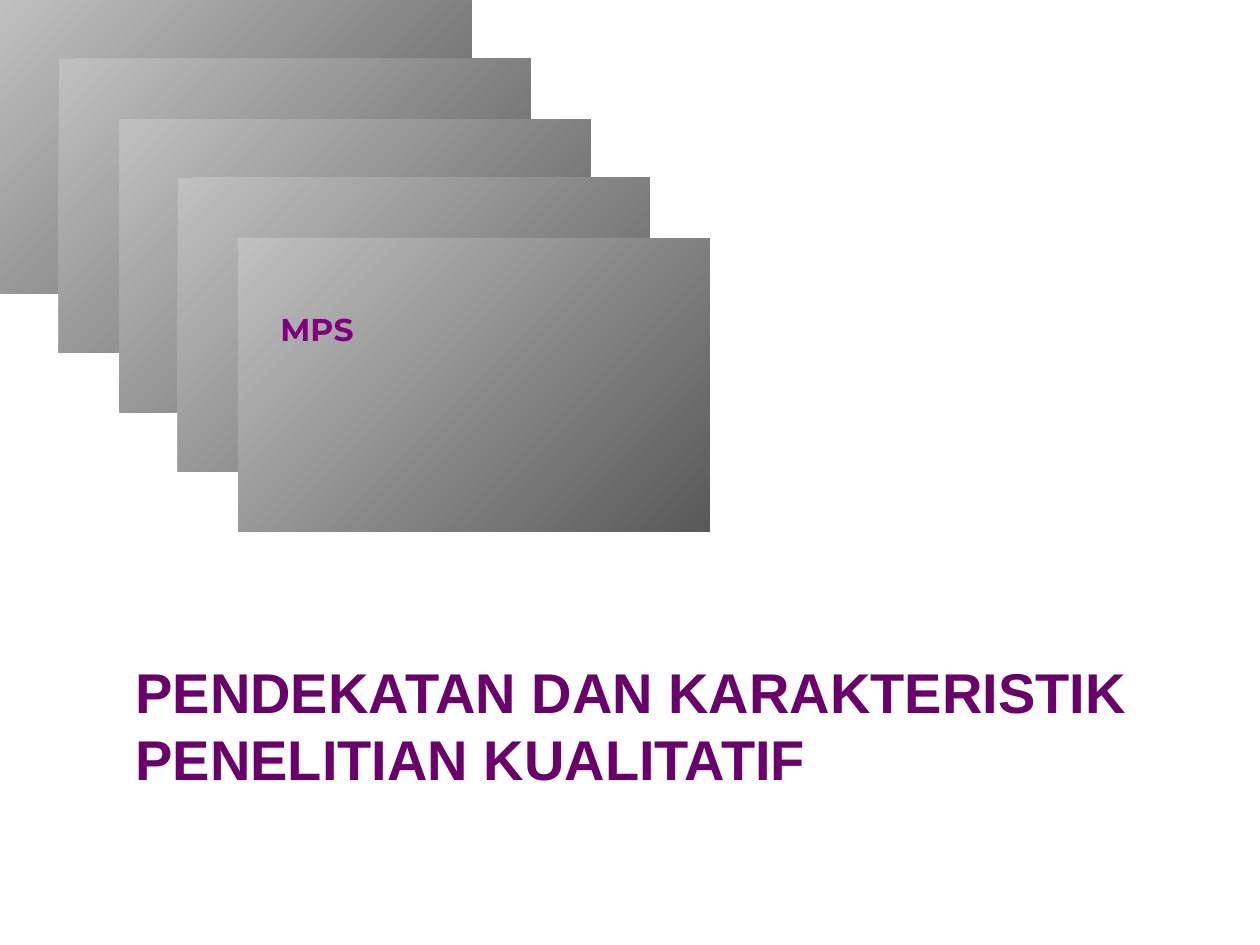
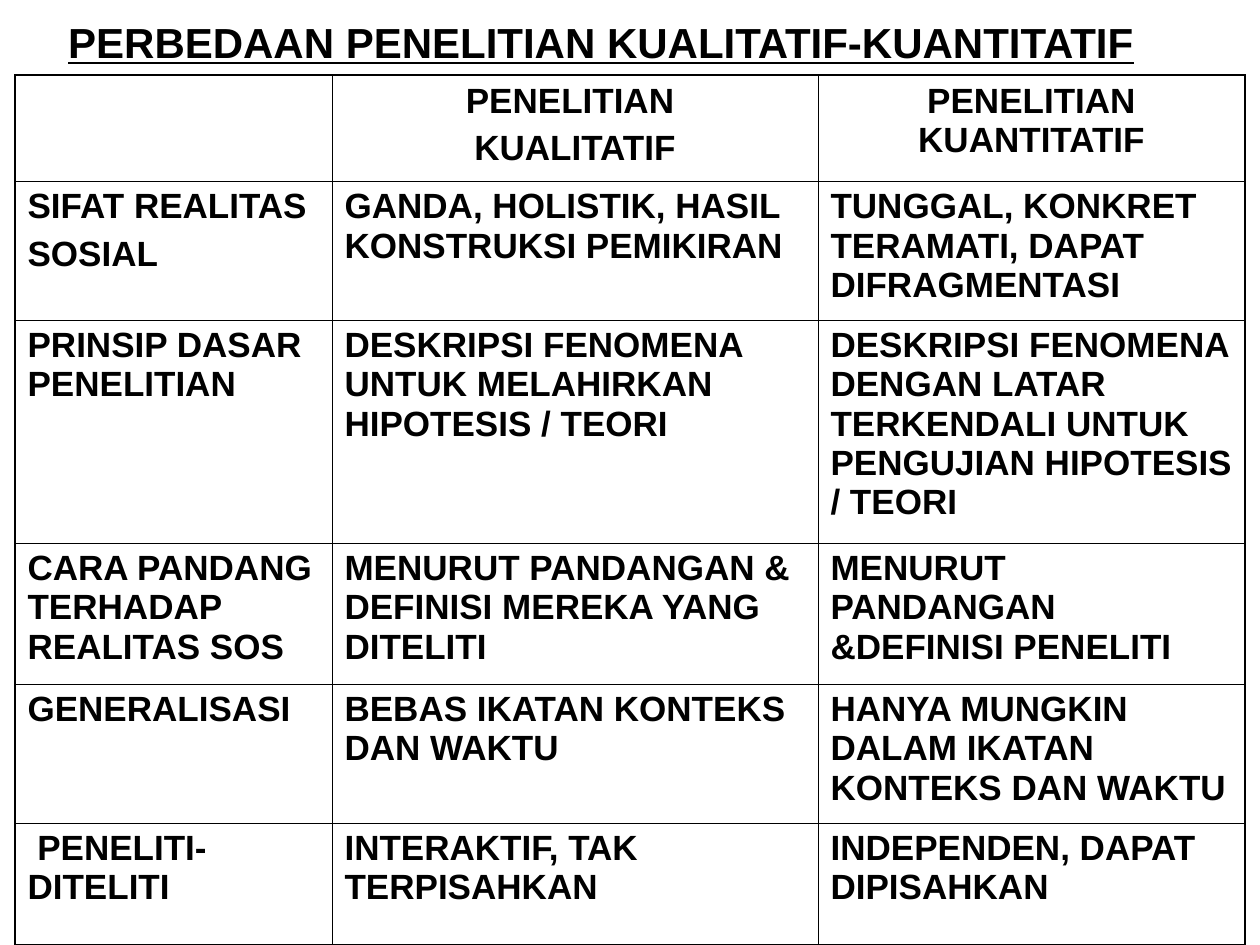
from lxml.etree import SubElement
from pptx import Presentation
from pptx.dml.color import RGBColor
from pptx.enum.shapes import MSO_SHAPE as Shape
from pptx.enum.text import MSO_ANCHOR as Anchor, PP_ALIGN as Align
from pptx.oxml.ns import qn
from pptx.util import Emu, Pt

PX = 914400 / 126
COLORS = {
    "card_light": "C0C0C0",
    "card_dark": "595959",
    "label": "800080",
    "heading": "6A006A",
    "ink": "000000",
}

# Text formats
LABEL = {"name": "Montserrat", "size": Pt(18), "bold": True}
HEADING = {"name": "Arial", "size": Pt(32), "bold": True}
TITLE = {"name": "Arial", "size": Pt(24), "bold": True, "underline": True}
CELL = {"name": "Arial", "size": Pt(20), "bold": True}

# Card cascade
CARD_COUNT = 5
CARD_SPREAD = 238
CARD_SIZE = (472, 294)

# Comparison table
COLUMN_WIDTHS = [317, 486, 427]
ROW_HEIGHTS = [106, 139, 223, 141, 139, 122]
OUTER_LINE, INNER_LINE = Pt(1.08), Pt(0.45)
COMPARISON = [
    ["", "PENELITIAN \nKUALITATIF", "PENELITIAN KUANTITATIF"],
    ["SIFAT REALITAS\nSOSIAL",
     "GANDA, HOLISTIK, HASIL KONSTRUKSI PEMIKIRAN",
     "TUNGGAL, KONKRET TERAMATI, DAPAT DIFRAGMENTASI"],
    ["PRINSIP DASAR PENELITIAN",
     "DESKRIPSI FENOMENA UNTUK MELAHIRKAN HIPOTESIS / TEORI",
     "DESKRIPSI FENOMENA DENGAN LATAR TERKENDALI UNTUK PENGUJIAN "
     "HIPOTESIS / TEORI"],
    ["CARA PANDANG TERHADAP REALITAS SOS",
     "MENURUT PANDANGAN & DEFINISI MEREKA YANG DITELITI",
     "MENURUT PANDANGAN &DEFINISI PENELITI"],
    ["GENERALISASI",
     "BEBAS IKATAN KONTEKS DAN WAKTU",
     "HANYA MUNGKIN DALAM IKATAN KONTEKS DAN WAKTU"],
    [" PENELITI-DITELITI",
     "INTERAKTIF, TAK TERPISAHKAN",
     "INDEPENDEN, DAPAT DIPISAHKAN"],
]


def emu(px):
    return Emu(round(px * PX))


def place(*lengths):
    return [emu(length) for length in lengths]


def rgb(color):
    return RGBColor.from_string(COLORS[color])


def write(frame, text, style, color, align=Align.LEFT, space_before=0):
    """Fill a text frame, one paragraph for each line of the text."""
    for index, line in enumerate(text.split("\n")):
        para = frame.add_paragraph() if index else frame.paragraphs[0]
        para.alignment = align
        para.space_before = Pt(space_before)
        span = para.add_run()
        span.text = line
        for name, value in style.items():
            setattr(span.font, name, value)
        span.font.color.rgb = rgb(color)


def add_text(page, at, text, style, color, wrap=True, anchor=Anchor.TOP, **layout):
    frame = page.shapes.add_textbox(*place(*at)).text_frame
    frame.word_wrap = wrap
    frame.vertical_anchor = anchor
    write(frame, text, style, color, **layout)


def add_card(page, offset):
    card = page.shapes.add_shape(
        Shape.RECTANGLE, *place(offset, offset, *CARD_SIZE))
    card.shadow.inherit = False
    card.line.fill.background()
    card.fill.gradient()
    card.fill.gradient_angle = 315
    for stop, color in zip(card.fill.gradient_stops, ("card_light", "card_dark")):
        stop.color.rgb = rgb(color)


def set_borders(cell, widths):
    properties = cell._tc.get_or_add_tcPr()
    for side, width in widths.items():
        line = SubElement(properties, qn(f"a:ln{side}"), w=str(width))
        fill = SubElement(line, qn("a:solidFill"))
        SubElement(fill, qn("a:srgbClr"), val=COLORS["ink"])


def add_comparison(page, left, top):
    row_count, column_count = len(ROW_HEIGHTS), len(COLUMN_WIDTHS)
    table = page.shapes.add_table(
        row_count, column_count,
        *place(left, top, sum(COLUMN_WIDTHS), sum(ROW_HEIGHTS))).table
    table.first_row = table.horz_banding = False
    for column, width in zip(table.columns, COLUMN_WIDTHS):
        column.width = emu(width)
    for row, height in zip(table.rows, ROW_HEIGHTS):
        row.height = emu(height)

    for r, texts in enumerate(COMPARISON):
        for c, text in enumerate(texts):
            cell = table.cell(r, c)
            on_edge = {"L": c == 0, "R": c == column_count - 1,
                       "T": r == 0, "B": r == row_count - 1}
            set_borders(cell, {side: OUTER_LINE if edge else INNER_LINE
                               for side, edge in on_edge.items()})
            cell.fill.background()
            write(cell.text_frame, text, CELL, "ink", space_before=5,
                  align=Align.LEFT if r else Align.CENTER)


def build_cover(page):
    for index in range(CARD_COUNT):
        add_card(page, CARD_SPREAD * index // (CARD_COUNT - 1))
    add_text(page, (268, 304, 397, 179), "MPS", LABEL, "label", wrap=False)
    add_text(page, (123, 651, 1081, 147),
             "PENDEKATAN DAN KARAKTERISTIK\nPENELITIAN KUALITATIF",
             HEADING, "heading")


def build_differences(page):
    add_text(page, (34, 35, 1134, 14),
             "PERBEDAAN PENELITIAN KUALITATIF-KUANTITATIF",
             TITLE, "ink", anchor=Anchor.MIDDLE, align=Align.CENTER)
    add_comparison(page, 15, 75)


def main():
    deck = Presentation()
    deck.slide_width, deck.slide_height = place(1260, 945)
    blank = deck.slide_layouts[6]
    for build in (build_cover, build_differences):
        build(deck.slides.add_slide(blank))
    deck.save("out.pptx")


if __name__ == "__main__":
    main()
